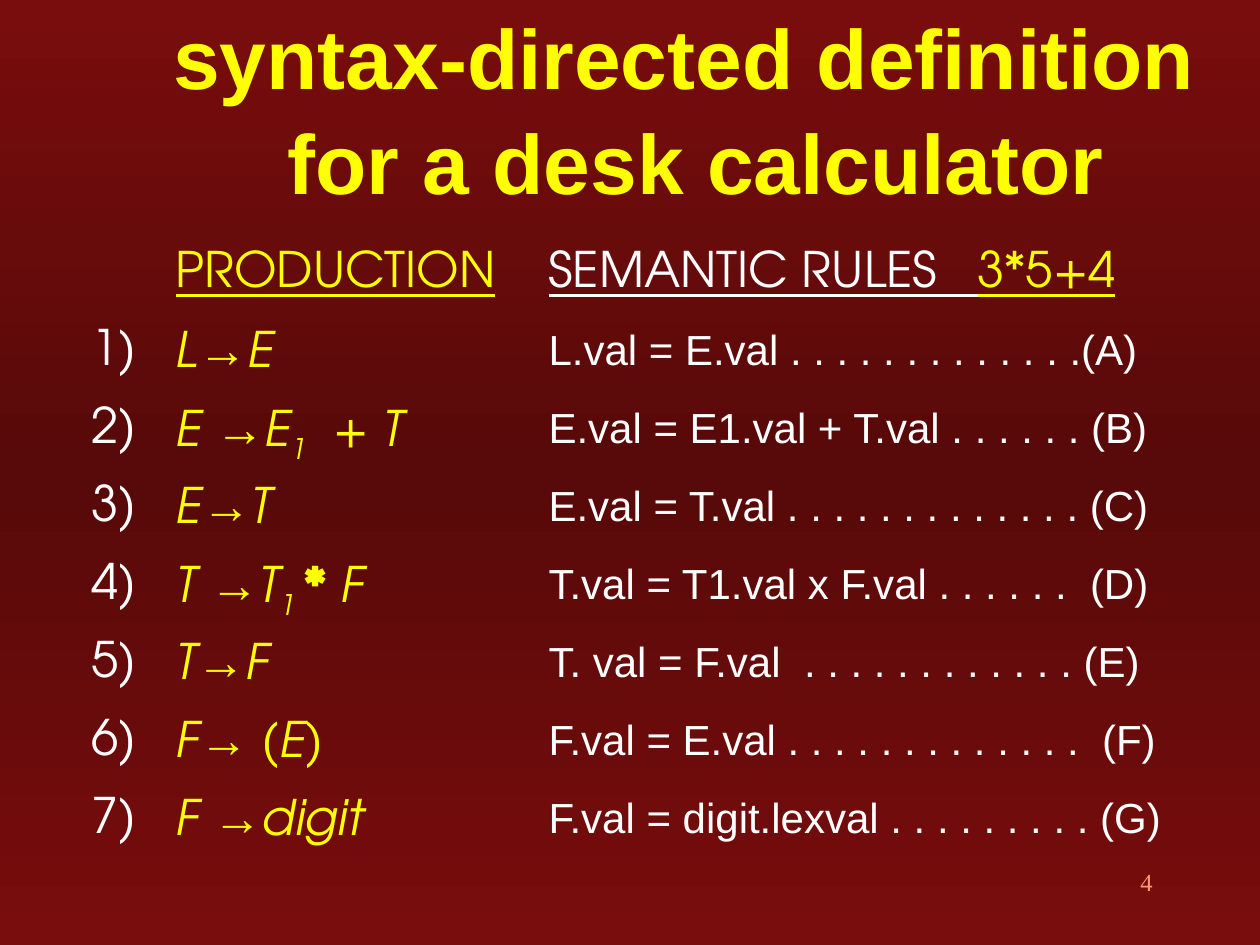
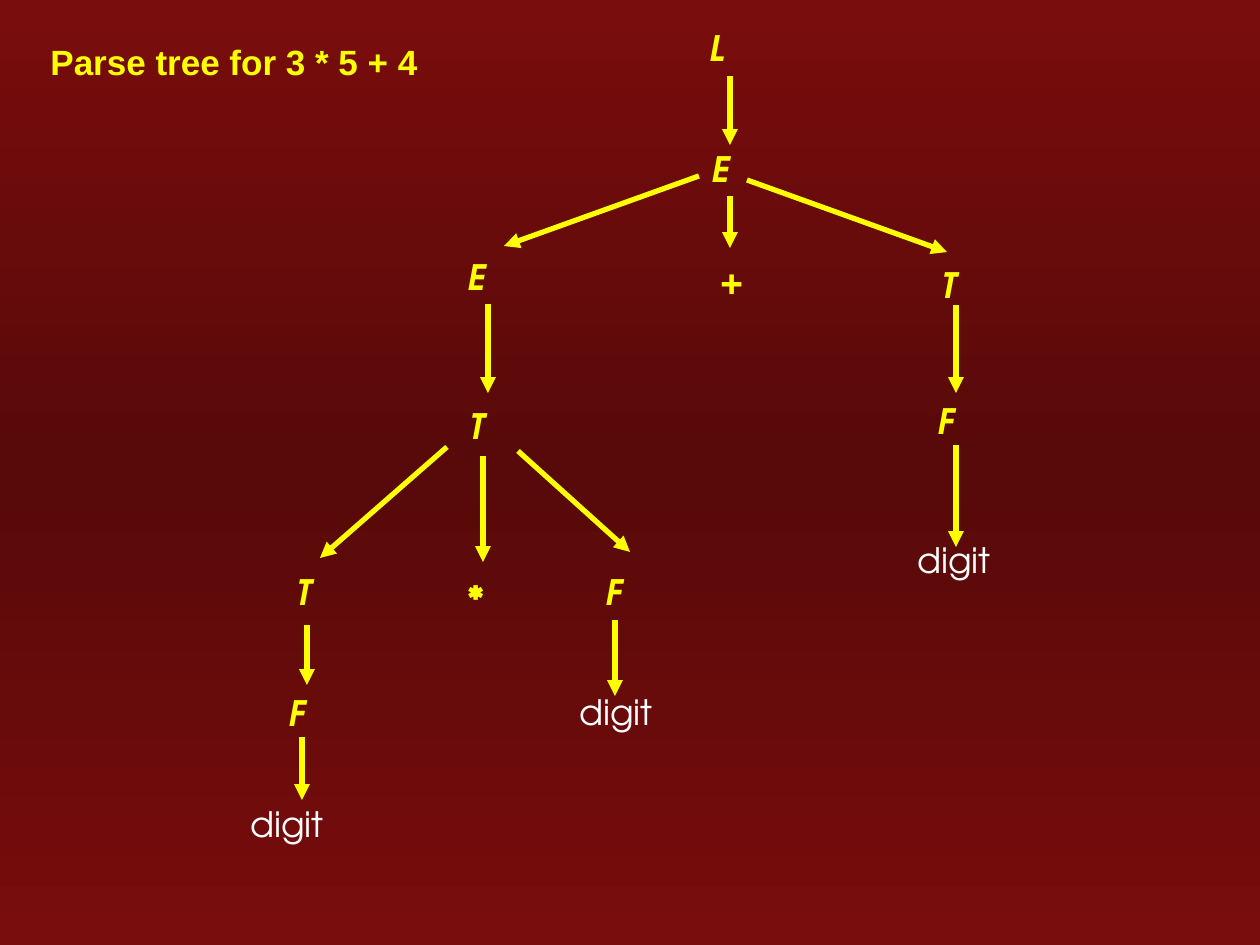
from copy import deepcopy

from lxml.etree import SubElement
from pptx import Presentation
from pptx.dml.color import RGBColor
from pptx.enum.shapes import MSO_CONNECTOR
from pptx.enum.text import MSO_ANCHOR as ANCHOR, PP_ALIGN as ALIGN
from pptx.oxml import parse_xml
from pptx.oxml.ns import nsdecls, qn
from pptx.util import Emu, Pt

YELLOW = RGBColor(0xFF, 0xFF, 0x00)
WHITE = RGBColor(0xFF, 0xFF, 0xFF)
ORANGE = RGBColor(0xFF, 0x99, 0x66)
RED = RGBColor(0x79, 0x0D, 0x0D)
DARK_RED = RGBColor(0x58, 0x09, 0x09)
TITLE_SHADOW = RGBColor(0xDD, 0xDD, 0xFF)

PX_PER_INCH = 126
GEOMETRIC = "TeX Gyre Adventor"
NO_TABLE_STYLE = "{2D5ABB26-0587-4C30-8999-92F81FD0307C}"

# Run formats
TITLE = dict(name="Arial", bold=True, color=YELLOW)
NUMBER = dict(name=GEOMETRIC, size=28, color=WHITE)
HEAD = dict(NUMBER, color=YELLOW, underline=True)
HEAD_WHITE = dict(HEAD, color=WHITE)
VAR = dict(NUMBER, color=YELLOW, italic=True)
ARROW = dict(VAR, name="Arial")
SUB = dict(VAR, baseline=-25000)
TIMES = dict(VAR, bold=True)
RULE = dict(name="Arial", size=24, color=WHITE)
PAGE = dict(name="Times New Roman", size=14, color=ORANGE)
LEAF = dict(name=GEOMETRIC, size=20, color=WHITE)
OPERATOR = dict(LEAF, color=YELLOW, bold=True)
SYMBOL = dict(OPERATOR, italic=True)

# Left side, runs of the right side, semantic rule
GRAMMAR = [
    ("L", [("E", VAR)], "L.val = E.val . . . . . . . . . . . . .(A)"),
    ("E ", [("E", VAR), ("1", SUB), ("  + T", VAR)],
     "E.val = E1.val + T.val . . . . . . (B)"),
    ("E", [("T", VAR)], "E.val = T.val . . . . . . . . . . . . . (C)"),
    ("T ", [("T", VAR), ("1 ", SUB), ("* ", TIMES), ("F", VAR)],
     "T.val = T1.val x F.val . . . . . .  (D)"),
    ("T", [("F", VAR)], "T. val = F.val  . . . . . . . . . . . . (E)"),
    ("F", [(" (E)", VAR)], "F.val = E.val . . . . . . . . . . . . .  (F)"),
    ("F ", [("digit", VAR)], "F.val = digit.lexval . . . . . . . . . (G)"),
]

# Left and top of each node inside the tree
TREE_NODES = [
    ("L", 467, 0), ("E", 469, 121),
    ("E", 225, 229), ("+", 477, 232), ("T", 699, 237),
    ("T", 227, 378), ("F", 695, 373),
    ("T", 54, 544), ("*", 225, 550), ("F", 363, 544), ("digit", 675, 512),
    ("F", 46, 665), ("digit", 337, 664), ("digit", 8, 776),
]

# Start and end of each branch inside the tree
TREE_BRANCHES = [
    (500, 56, 500, 125),
    (469, 156, 274, 226), (500, 176, 500, 228), (517, 160, 717, 232),
    (258, 284, 258, 373), (726, 285, 726, 373),
    (217, 427, 90, 538), (253, 436, 253, 542), (288, 431, 400, 532),
    (726, 425, 726, 527),
    (77, 605, 77, 665), (385, 600, 385, 676), (72, 717, 72, 780),
]


def px(n):
    return Emu(round(n * 914400 / PX_PER_INCH))


def write(p, runs):
    for text, fmt in runs:
        r = p.add_run()
        r.text = text
        for key, value in fmt.items():
            if key == "color":
                r.font.color.rgb = value
            elif key == "baseline":
                r.font._element.set("baseline", str(value))
            else:
                setattr(r.font, key, Pt(value) if key == "size" else value)


def add_text(slide, box, lines, fmt, align=ALIGN.LEFT, anchor=ANCHOR.TOP):
    tf = slide.shapes.add_textbox(*map(px, box)).text_frame
    tf.word_wrap = True
    tf.vertical_anchor = anchor
    p = tf.paragraphs[0]
    p.alignment = align
    for i, line in enumerate(lines):
        if i:
            p.add_line_break()
        write(p, [(line, fmt)])
    return tf


def add_title(slide, box, lines, size, align=ALIGN.LEFT):
    tf = add_text(slide, box, lines, dict(TITLE, size=size), align, ANCHOR.MIDDLE)
    for r in tf.paragraphs[0].runs:
        r.font._element.find(qn("a:solidFill")).addnext(parse_xml(
            f'<a:effectLst {nsdecls("a")}>'
            '<a:outerShdw dist="17961" dir="2700000">'
            f'<a:srgbClr val="{TITLE_SHADOW}"/></a:outerShdw></a:effectLst>'))
    return tf


def add_slide(prs):
    slide = prs.slides.add_slide(prs.slide_layouts[6])
    fill = slide.background.fill
    fill.gradient()
    fill.gradient_angle = 90
    stops = slide.element.find(".//" + qn("a:gsLst"))
    stops.append(deepcopy(stops[0]))
    for stop, color, position in zip(
            fill.gradient_stops, (RED, DARK_RED, RED), (0, 0.5, 1)):
        stop.color.rgb = color
        stop.position = position
    return slide


def add_grammar_table(slide, box):
    rows = [[[], [("PRODUCTION", HEAD)],
             [("SEMANTIC RULES   ", HEAD_WHITE), ("3*5+4", HEAD)]]]
    for i, (left, right, rule) in enumerate(GRAMMAR, 1):
        rows.append([[(f"{i})", NUMBER)],
                     [(left, VAR), ("→", ARROW), *right],
                     [(rule, RULE)]])

    frame = slide.shapes.add_table(len(rows), 3, *map(px, box))
    table = frame.table
    table.first_row = table.horz_banding = False
    table._tbl.tblPr.find(qn("a:tableStyleId")).text = NO_TABLE_STYLE
    for column, width in zip(table.columns, (84, 373, 718)):
        column.width = px(width)
    for row, texts in zip(table.rows, rows):
        row.height = px(box[3] // len(rows))
        for cell, runs in zip(row.cells, texts):
            cell.fill.background()
            cell.vertical_anchor = ANCHOR.MIDDLE
            p = cell.text_frame.paragraphs[0]
            p.line_spacing = 0.75
            p._p.get_or_add_pPr().set("marL", str(px(13)))
            write(p, runs)


def add_arrow(slide, x1, y1, x2, y2):
    line = slide.shapes.add_connector(
        MSO_CONNECTOR.STRAIGHT, *map(px, (x1, y1, x2, y2)))
    line.line.color.rgb = YELLOW
    line.line.width = Pt(3)
    SubElement(line.line._get_or_add_ln(), qn("a:tailEnd"), type="triangle")
    SubElement(line._element.spPr, qn("a:effectLst"))


def add_parse_tree(slide, left, top):
    for x1, y1, x2, y2 in TREE_BRANCHES:
        add_arrow(slide, left + x1, top + y1, left + x2, top + y2)
    for label, x, y in TREE_NODES:
        if label == "digit":
            width, fmt = 103, LEAF
        else:
            width, fmt = 67, SYMBOL if label.isalpha() else OPERATOR
        add_text(slide, (left + x, top + y, width, 55), [label], fmt)


def definition_slide(prs):
    slide = add_slide(prs)
    add_grammar_table(slide, (66, 238, 1175, 624))
    add_text(slide, (903, 861, 262, 63), ["4"], PAGE, ALIGN.RIGHT)
    tf = add_title(slide, (66, 5, 1260, 202),
                   ["syntax-directed deﬁnition ", "for a desk calculator"],
                   48, ALIGN.CENTER)
    tf.paragraphs[0].line_spacing = 1.05
    for side in ("left", "top", "right", "bottom"):
        setattr(tf, f"margin_{side}", 0)


def tree_slide(prs):
    slide = add_slide(prs)
    add_parse_tree(slide, 230, 20)
    add_title(slide, (38, 9, 410, 105), ["Parse tree for 3 * 5 + 4"], 20)


def main():
    prs = Presentation()
    prs.slide_width, prs.slide_height = px(1260), px(945)
    definition_slide(prs)
    tree_slide(prs)
    prs.save("out.pptx")


if __name__ == "__main__":
    main()
